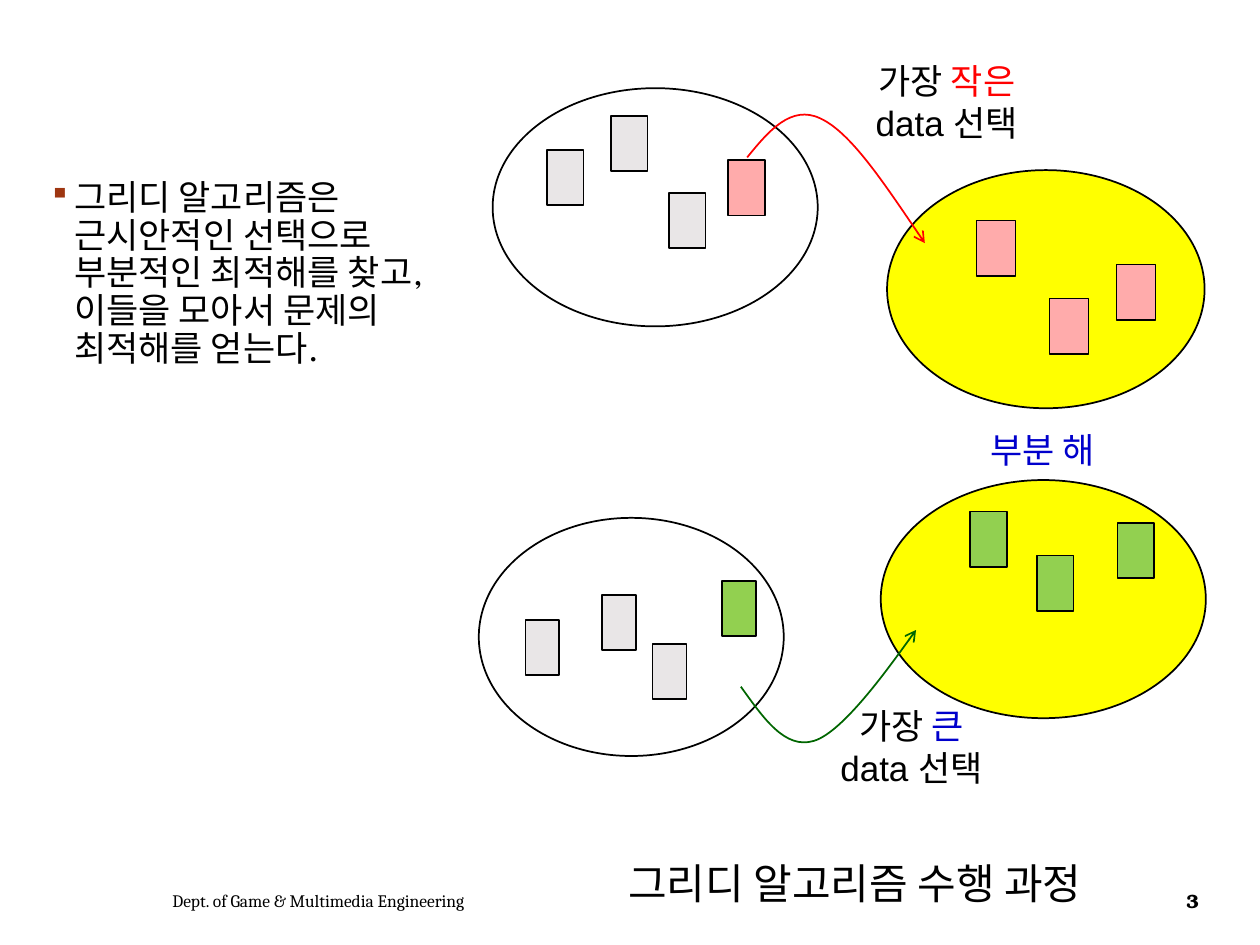
"""Build a slide on how a greedy algorithm gathers partial solutions."""
from dataclasses import dataclass

from lxml import etree
from pptx import Presentation
from pptx.dml.color import RGBColor
from pptx.enum import shapes, text
from pptx.oxml import ns
from pptx.util import Inches, Pt


@dataclass(frozen=True)
class Theme:
    black: str = "000000"
    blue: str = "0000CC"
    red: str = "FF0000"
    dark_green: str = "006600"
    green: str = "92D050"
    pink: str = "FFABAB"
    gray: str = "E9E6E7"
    yellow: str = "FFFF00"
    bullet: str = "9E3611"
    label_font: str = "Arial"
    body_font: str = "TeX Gyre Bonum"
    footer_font: str = "Cambria"
    body_size: int = 20
    title_size: int = 24
    footer_size: int = 10
    number_size: int = 11


THEME = Theme()
ITEM_HEIGHT = 0.44
SET_HEIGHT = 1.89

SETS = [
    {"oval": (3.8, 4.11, 2.42), "fill": None, "item_width": 0.27, "line": 1,
     "items": [(4.17, 4.92, THEME.gray), (5.18, 5.11, THEME.gray),
               (4.78, 4.72, THEME.gray), (5.73, 4.61, THEME.green)]},
    {"oval": (6.99, 3.81, 2.58), "fill": THEME.yellow, "item_width": 0.29, "line": 1,
     "items": [(7.7, 4.06, THEME.green), (8.23, 4.41, THEME.green),
               (8.87, 4.15, THEME.green)]},
    {"oval": (7.04, 1.35, 2.52), "fill": THEME.yellow, "item_width": 0.31, "line": 0.75,
     "items": [(8.86, 2.1, THEME.pink), (7.75, 1.75, THEME.pink),
               (8.33, 2.37, THEME.pink)]},
    {"oval": (3.91, 0.7, 2.58), "fill": None, "item_width": 0.29, "line": 1,
     "items": [(5.78, 1.27, THEME.pink), (5.31, 1.53, THEME.gray),
               (4.85, 0.92, THEME.gray), (4.34, 1.19, THEME.gray)]},
]

ARROWS = [
    (THEME.dark_green, [(5.88, 5.45), (6.06, 5.7), (6.23, 5.95), (6.46, 5.88),
                        (6.69, 5.81), (7.14, 5.18), (7.27, 5)]),
    (THEME.red, [(5.93, 1.25), (6.1, 1.04), (6.28, 0.83), (6.51, 0.94),
                 (6.75, 1.05), (7.04, 1.49), (7.34, 1.93)]),
]

BODY = "그리디 알고리즘은 근시안적인 선택으로 부분적인 최적해를 찾고, 이들을 모아서 문제의 최적해를 얻는다."
CENTER = text.PP_ALIGN.CENTER
MIDDLE = text.MSO_ANCHOR.MIDDLE

TEXTS = [
    ((0.29, 1.38, 3.18, 5.37), [[(BODY, THEME.black)]],
     {"font": THEME.body_font, "bullet": True, "spacing": 0.9}),
    ((4.66, 6.76, 4.25, 0.5), [[("그리디 알고리즘 수행 과정", THEME.black)]],
     {"size": THEME.title_size, "align": CENTER}),
    ((6.41, 5.54, 1.65, 0.77),
     [[("가장 ", THEME.black), ("큰", THEME.blue)], [("data 선택", THEME.black)]],
     {"align": CENTER}),
    ((7.29, 3.35, 1.97, 0.44), [[("부분 해", THEME.blue)]], {"align": CENTER}),
    ((6.69, 0.42, 1.65, 0.77),
     [[("가장 ", THEME.black), ("작은", THEME.red)], [("data 선택", THEME.black)]],
     {"align": CENTER}),
    ((1.27, 6.95, 4.59, 0.4), [[("Dept. of Game & Multimedia Engineering", THEME.black)]],
     {"font": THEME.footer_font, "size": THEME.footer_size, "anchor": MIDDLE}),
    ((9.2, 6.95, 0.53, 0.4), [[("3", THEME.black)]],
     {"font": THEME.body_font, "size": THEME.number_size, "bold": True,
      "align": CENTER, "anchor": MIDDLE, "tracking": -70}),
]


def add_bullet(paragraph):
    properties = paragraph._p.get_or_add_pPr()
    properties.set("marL", str(Inches(0.2)))
    properties.set("indent", str(Inches(-0.2)))
    color = etree.SubElement(properties, ns.qn("a:buClr"))
    etree.SubElement(color, ns.qn("a:srgbClr"), val=THEME.bullet)
    etree.SubElement(properties, ns.qn("a:buSzPct"), val="85000")
    etree.SubElement(properties, ns.qn("a:buChar"), char="▪")


def add_text(slide, box, paragraphs, font=THEME.label_font, size=THEME.body_size,
             bold=False, align=text.PP_ALIGN.LEFT, anchor=text.MSO_ANCHOR.TOP,
             bullet=False, spacing=None, tracking=None):
    frame = slide.shapes.add_textbox(*map(Inches, box)).text_frame
    frame.word_wrap = True
    frame.vertical_anchor = anchor
    for index, runs in enumerate(paragraphs):
        paragraph = frame.add_paragraph() if index else frame.paragraphs[0]
        if bullet:
            add_bullet(paragraph)
        paragraph.alignment = align
        if spacing:
            paragraph.line_spacing = spacing
        for content, color in runs:
            run = paragraph.add_run()
            run.text = content
            run.font.name = font
            run.font.size = Pt(size)
            run.font.bold = bold
            run.font.color.rgb = RGBColor.from_string(color)
            if tracking:
                run._r.get_or_add_rPr().set("spc", str(tracking))


def style_shape(shape, fill=None, line=THEME.black, width=1):
    shape.shadow.inherit = False
    if fill:
        shape.fill.solid()
        shape.fill.fore_color.rgb = RGBColor.from_string(fill)
    else:
        shape.fill.background()
    shape.line.color.rgb = RGBColor.from_string(line)
    shape.line.width = Pt(width)


def add_set(slide, data):
    group = slide.shapes.add_group_shape()
    left, top, width = data["oval"]
    oval = group.shapes.add_shape(
        shapes.MSO_SHAPE.OVAL, *map(Inches, (left, top, width, SET_HEIGHT)))
    style_shape(oval, data["fill"])
    for left, top, color in data["items"]:
        box = (left, top, data["item_width"], ITEM_HEIGHT)
        item = group.shapes.add_shape(shapes.MSO_SHAPE.RECTANGLE, *map(Inches, box))
        style_shape(item, color, width=data["line"])


def add_curved_arrow(slide, color, points):
    start, *rest = [(Inches(x), Inches(y)) for x, y in points]
    builder = slide.shapes.build_freeform(*start)
    builder.add_line_segments(rest, close=False)
    shape = builder.convert_to_shape()
    style_shape(shape, line=color)
    outline = next(shape._element.iter(ns.qn("a:path")))
    segments = outline.findall(ns.qn("a:lnTo"))
    for first in range(0, len(segments), 3):
        curve = etree.SubElement(outline, ns.qn("a:cubicBezTo"))
        for segment in segments[first:first + 3]:
            curve.append(segment[0])
            outline.remove(segment)
    etree.SubElement(shape.line._get_or_add_ln(), ns.qn("a:tailEnd"), type="arrow")


def main():
    presentation = Presentation()
    presentation.slide_width = Inches(10)
    presentation.slide_height = Inches(7.5)
    slide = presentation.slides.add_slide(presentation.slide_layouts[6])
    for data in SETS:
        add_set(slide, data)
    for color, points in ARROWS:
        add_curved_arrow(slide, color, points)
    for box, paragraphs, options in TEXTS:
        add_text(slide, box, paragraphs, **options)
    presentation.save("out.pptx")


if __name__ == "__main__":
    main()
